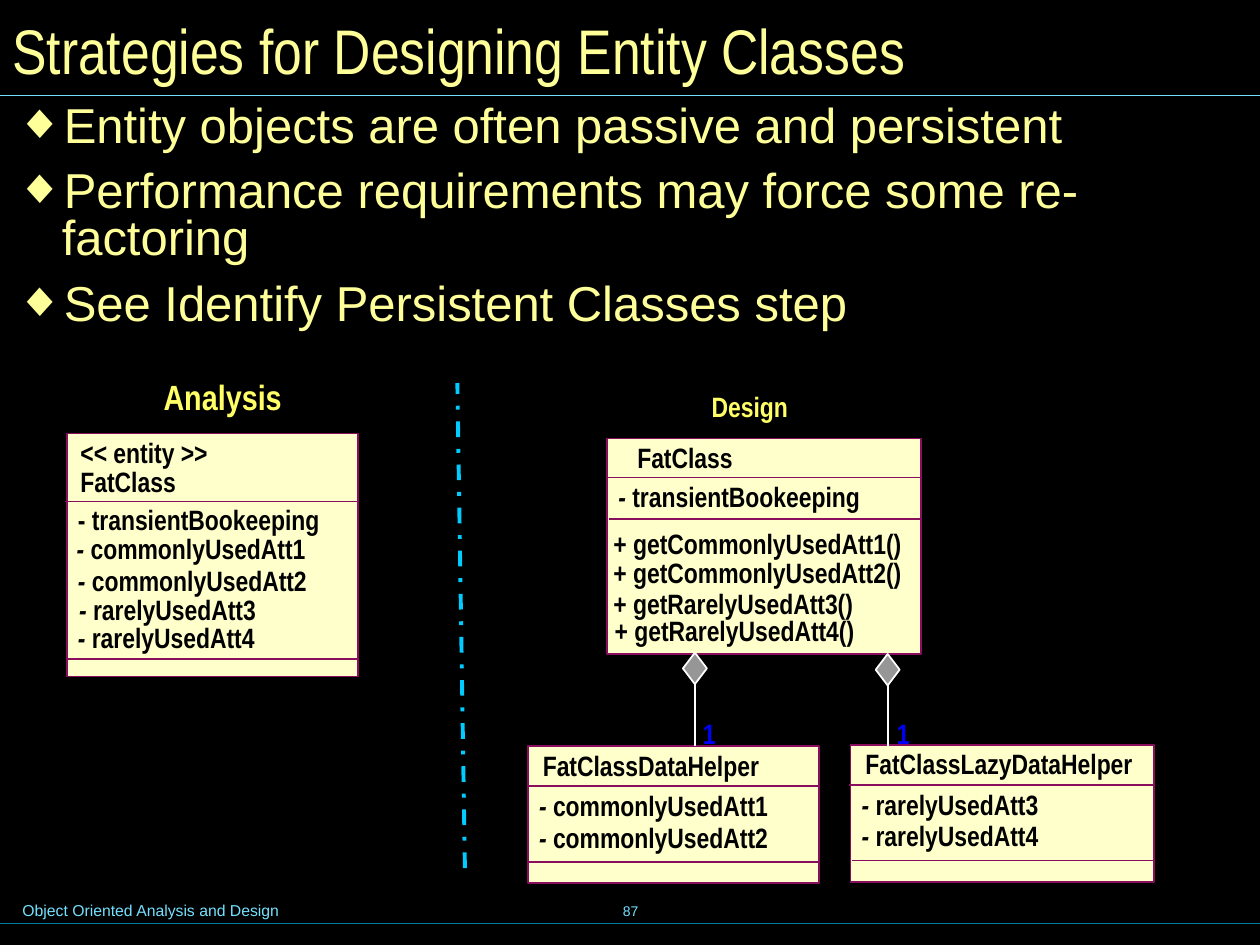
import pptx
import pptx.dml.color
import pptx.enum.dml
import pptx.enum.shapes
import pptx.enum.text
import pptx.oxml.ns
import pptx.util
from lxml import etree

Inches = pptx.util.Inches
Pt = pptx.util.Pt
RGBColor = pptx.dml.color.RGBColor
Align = pptx.enum.text.PP_ALIGN
Anchor = pptx.enum.text.MSO_ANCHOR
Preset = pptx.enum.shapes.MSO_SHAPE

BLACK = RGBColor(0x00, 0x00, 0x00)
WHITE = RGBColor(0xFF, 0xFF, 0xFF)
BLUE = RGBColor(0x00, 0x00, 0xFF)
GREY = RGBColor(0x96, 0x96, 0x96)
CREAM = RGBColor(0xFF, 0xFF, 0xCC)
PALE_YELLOW = RGBColor(0xFF, 0xFF, 0x99)
YELLOW = RGBColor(0xFF, 0xFF, 0x66)
PLUM = RGBColor(0x8A, 0x0E, 0x5E)
SKY = RGBColor(0x73, 0xE1, 0xFF)
TEAL = RGBColor(0x00, 0x7E, 0x9F)
CYAN = RGBColor(0x00, 0xCC, 0xFF)


class DesignSlide:
    body_font = "Arial"
    narrow_font = "Arial Narrow"

    def __init__(self, presentation):
        self.slide = presentation.slides.add_slide(presentation.slide_layouts[6])
        fill = self.slide.background.fill
        fill.solid()
        fill.fore_color.rgb = BLACK

    def frame(self, left, top, width, height, wrap=True, anchor=Anchor.TOP):
        box = self.slide.shapes.add_textbox(
            Inches(left), Inches(top), Inches(width), Inches(height))
        frame = box.text_frame
        frame.word_wrap = wrap
        frame.vertical_anchor = anchor
        return frame

    def run(self, paragraph, words, size, color, font, bold=False, italic=False):
        run = paragraph.add_run()
        run.text = words
        run.font.size = Pt(size)
        run.font.name = font
        run.font.color.rgb = color
        run.font.bold = bold
        run.font.italic = italic

    def text(self, words, left, top, width, height, size, color, font,
             bold=False, wrap=True, anchor=Anchor.TOP, align=Align.LEFT):
        frame = self.frame(left, top, width, height, wrap, anchor)
        frame.paragraphs[0].alignment = align
        self.run(frame.paragraphs[0], words, size, color, font, bold)

    def label(self, words, left, top, width, height, size, color):
        self.text(words, left, top, width, height, size, color,
                  self.narrow_font, bold=True, wrap=False)

    def bullets(self, points, left, top, width, height):
        frame = self.frame(left, top, width, height)
        frame.margin_left = frame.margin_right = Inches(0.12)
        frame.margin_top = frame.margin_bottom = Inches(0.06)
        qn = pptx.oxml.ns.qn
        for index, point in enumerate(points):
            paragraph = frame.add_paragraph() if index else frame.paragraphs[0]
            properties = paragraph._p.get_or_add_pPr()
            properties.set("marL", str(Inches(0.37)))
            properties.set("indent", str(-Inches(0.37)))
            color = etree.SubElement(properties, qn("a:buClr"))
            etree.SubElement(color, qn("a:srgbClr")).set("val", str(PALE_YELLOW))
            etree.SubElement(properties, qn("a:buFont")).set("typeface", self.body_font)
            etree.SubElement(properties, qn("a:buChar")).set("char", "◆")
            paragraph.line_spacing = 0.8
            if index:
                paragraph.space_before = Pt(10.5)
            self.run(paragraph, point, 28, PALE_YELLOW, self.body_font)

    def line(self, start, end, color, width=1, dash=None):
        connector = self.slide.shapes.add_connector(
            pptx.enum.shapes.MSO_CONNECTOR.STRAIGHT,
            *(Inches(value) for value in (*start, *end)))
        connector.line.color.rgb = color
        connector.line.width = Pt(width)
        if dash:
            connector.line.dash_style = dash
        etree.SubElement(connector._element.spPr, pptx.oxml.ns.qn("a:effectLst"))
        return connector

    def shape(self, preset, left, top, width, height, fill, outline):
        shape = self.slide.shapes.add_shape(
            preset, Inches(left), Inches(top), Inches(width), Inches(height))
        shape.shadow.inherit = False
        shape.fill.solid()
        shape.fill.fore_color.rgb = fill
        shape.line.color.rgb = outline
        shape.line.width = Pt(1)
        return shape

    def entry(self, words, left, top, width, slanted_dash):
        paragraph = self.frame(left, top, width, 0.37).paragraphs[0]
        style = (16, BLACK, self.narrow_font, True)
        if slanted_dash and words.startswith("- "):
            self.run(paragraph, "- ", *style, italic=True)
            words = words[2:]
        self.run(paragraph, words, *style)

    def uml_class(self, left, top, width, height, dividers, entries):
        self.shape(Preset.RECTANGLE, left, top, width, height, CREAM, PLUM)
        upper, lower = dividers
        right = left + width
        self.line((left - 0.01, upper), (right + 0.01, upper), PLUM)
        self.line((left + 0.01, lower), (right, lower), PLUM)
        for words, text_left, text_top, *plain in entries:
            self.entry(words, text_left, text_top, width + 0.15, not plain)

    def aggregation(self, left, top, whole_bottom, label_left):
        diamond = self.shape(Preset.DIAMOND, left, top, 0.19, 0.25, GREY, WHITE)
        center = left + 0.19 / 2
        stem = self.line((center, top + 0.25), (center, whole_bottom), WHITE)
        stem.begin_connect(diamond, 2)
        self.label("1", label_left, 5.64, 0.3, 0.37, 16, BLUE)


def main():
    presentation = pptx.Presentation()
    presentation.slide_width = Inches(10)
    presentation.slide_height = Inches(7.5)
    page = DesignSlide(presentation)

    page.text("Object Oriented Analysis and Design", 0.08, 7.1, 5.1, 0.25,
              9, SKY, page.body_font)
    page.text("87", 3.42, 6.98, 3.17, 0.5, 8, SKY, page.body_font,
              anchor=Anchor.MIDDLE, align=Align.CENTER)
    page.line((0, 7.33), (10, 7.33), TEAL, 0.75)
    page.line((0, 0.76), (10, 0.76), SKY, 0.75)
    page.text("Strategies for Designing Entity Classes", 0, 0, 9.93, 0.78,
              36, PALE_YELLOW, page.narrow_font, anchor=Anchor.MIDDLE)
    page.bullets([
        "Entity objects are often passive and persistent",
        "Performance requirements may force some re-factoring",
        "See Identify Persistent Classes step",
    ], 0, 0.78, 9.28, 1.95)

    page.label("Analysis", 1.2, 2.93, 1.2, 0.44, 20, YELLOW)
    page.label("Design", 5.55, 3.04, 0.9, 0.37, 16, YELLOW)
    page.line((3.69, 6.89), (3.63, 3.04), CYAN, 2.25,
              pptx.enum.dml.MSO_LINE.DASH_DOT)

    page.uml_class(0.53, 3.44, 2.31, 1.93, (3.98, 5.23), [
        ("<< entity >>", 0.54, 3.41),
        ("FatClass", 0.54, 3.64),
        ("- transientBookeeping", 0.52, 3.94, "plain"),
        ("- commonlyUsedAtt1", 0.51, 4.17),
        ("- commonlyUsedAtt2", 0.52, 4.42),
        ("- rarelyUsedAtt3", 0.53, 4.65),
        ("- rarelyUsedAtt4", 0.52, 4.88),
    ])
    page.uml_class(4.82, 3.48, 2.49, 1.71, (3.79, 4.12), [
        ("FatClass", 4.96, 3.45),
        ("- transientBookeeping", 4.81, 3.76),
        ("+ getCommonlyUsedAtt1()", 4.77, 4.13),
        ("+ getCommonlyUsedAtt2()", 4.77, 4.36),
        ("+ getRarelyUsedAtt3()", 4.77, 4.61),
        ("+ getRarelyUsedAtt4()", 4.78, 4.82),
    ])
    page.uml_class(4.19, 5.92, 2.31, 1.09, (6.24, 6.84), [
        ("FatClassDataHelper", 4.21, 5.89),
        ("- commonlyUsedAtt1", 4.18, 6.21),
        ("- commonlyUsedAtt2", 4.18, 6.46),
    ])
    page.uml_class(6.75, 5.91, 2.41, 1.09, (6.23, 6.83), [
        ("FatClassLazyDataHelper", 6.77, 5.88),
        ("- rarelyUsedAtt3", 6.74, 6.2),
        ("- rarelyUsedAtt4", 6.74, 6.45),
    ])
    page.aggregation(5.42, 5.18, 5.92, 5.48)
    page.aggregation(6.95, 5.19, 5.92, 7.02)

    presentation.save("out.pptx")


if __name__ == "__main__":
    main()
